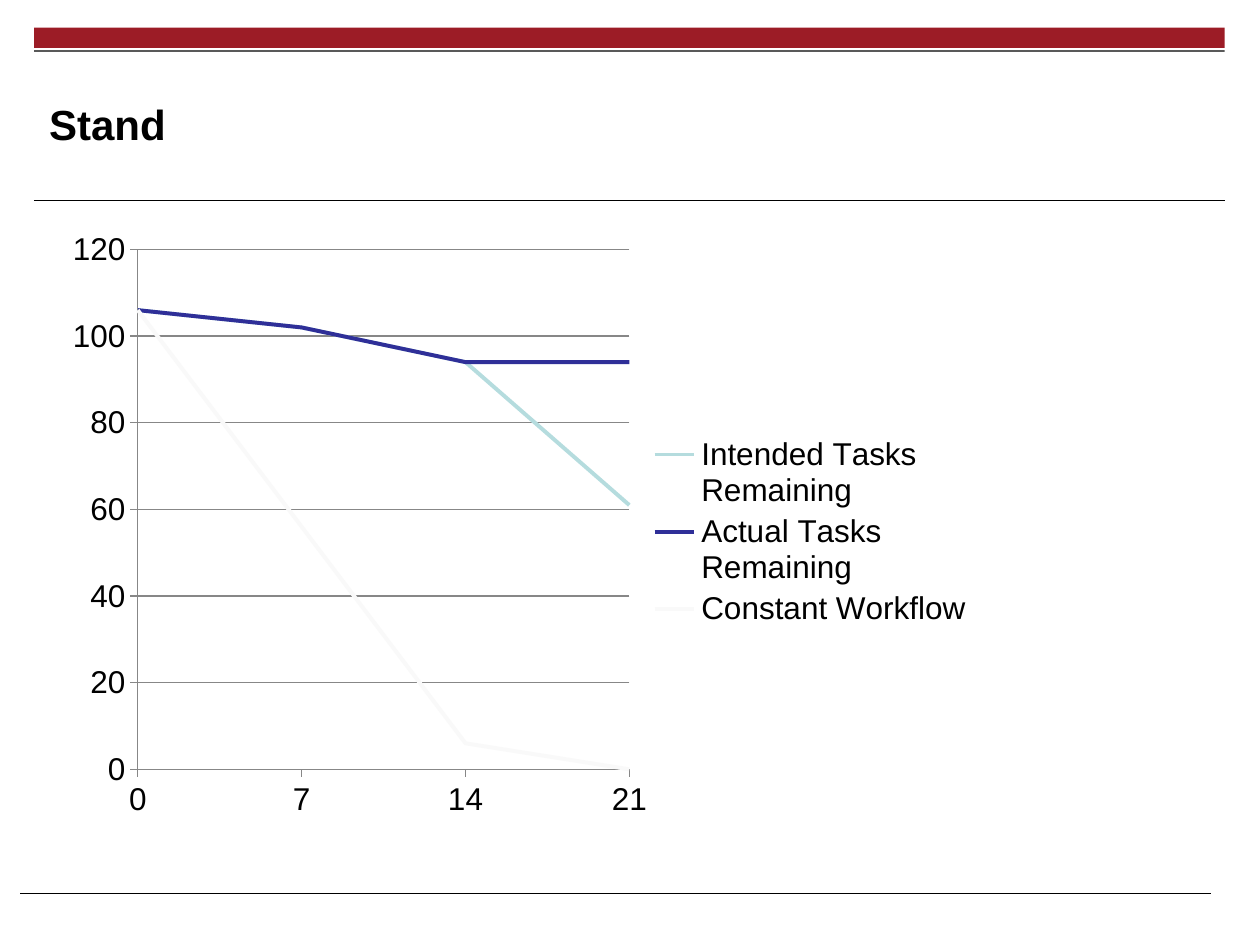
from lxml import etree
from pptx import Presentation
from pptx.chart.data import CategoryChartData
from pptx.dml.color import RGBColor
from pptx.enum.chart import XL_CHART_TYPE, XL_LEGEND_POSITION, XL_MARKER_STYLE, XL_TICK_MARK
from pptx.enum.shapes import MSO_CONNECTOR, MSO_SHAPE
from pptx.enum.text import MSO_ANCHOR, PP_ALIGN
from pptx.oxml import parse_xml
from pptx.oxml.ns import nsdecls, qn
from pptx.util import Inches, Pt

LINE_CHART = XL_CHART_TYPE.LINE
LEGEND_RIGHT = XL_LEGEND_POSITION.RIGHT
NO_MARKER = XL_MARKER_STYLE.NONE
TICK_OUTSIDE = XL_TICK_MARK.OUTSIDE
STRAIGHT = MSO_CONNECTOR.STRAIGHT
RECTANGLE = MSO_SHAPE.RECTANGLE
MIDDLE = MSO_ANCHOR.MIDDLE
LEFT = PP_ALIGN.LEFT

FONT = "Arial"
COLORS = {
    "text": "000000",
    "bar": "9C1C26",
    "axis": "878787",
    "paper": "FFFFFF",
    "intended": "B5DCDE",
    "actual": "2F2F98",
    "constant": "F9F9F9",
}
RULE_LEFT, RULE_WIDTH = 0.27, 9.45
DAYS = ["0", "7", "14", "21"]
SERIES = [
    ("Intended Tasks Remaining", [106, 102, 94, 61], "intended"),
    ("Actual Tasks Remaining", [106, 102, 94, 94], "actual"),
    ("Constant Workflow", [106, 56, 6, 0], "constant"),
]
PLOT_AREA = {"x": 0.097, "y": 0.043, "w": 0.523, "h": 0.842}


def color(name):
    return RGBColor.from_string(COLORS[name])


def format_font(font, size, bold=False):
    font.name = FONT
    font.size = Pt(size)
    font.bold = bold
    font.color.rgb = color("text")


def format_line(line, name, width):
    line.color.rgb = color(name)
    line.width = Pt(width)


def add_bar(slide, top, height, fill):
    bar = slide.shapes.add_shape(
        RECTANGLE, Inches(RULE_LEFT), Inches(top), Inches(RULE_WIDTH), Inches(height))
    bar.shadow.inherit = False
    bar.fill.solid()
    bar.fill.fore_color.rgb = color(fill)
    bar.line.fill.background()


def add_rule(slide, left, top):
    rule = slide.shapes.add_connector(
        STRAIGHT, Inches(left), Inches(top), Inches(left + RULE_WIDTH), Inches(top))
    format_line(rule.line, "text", 0.6)
    etree.SubElement(rule._element.spPr, qn("a:effectLst"))


def set_title(slide, text, size, bold):
    title = slide.shapes.title
    title.left, title.top = Inches(0.39), Inches(0.53)
    title.width, title.height = Inches(7.26), Inches(0.91)
    frame = title.text_frame
    frame.margin_left = frame.margin_right = frame.margin_top = frame.margin_bottom = 0
    frame.vertical_anchor = MIDDLE
    frame.word_wrap = True
    para = frame.paragraphs[0]
    para.alignment = LEFT
    span = para.add_run()
    span.text = text
    format_font(span.font, size, bold)


def format_axis(axis):
    axis.major_tick_mark = TICK_OUTSIDE
    format_font(axis.tick_labels.font, 18)
    format_line(axis.format.line, "axis", 0.75)


def place_plot(chart):
    """Fix the inner plot area, fill it, and start the lines on the value axis."""
    plot_area = chart._chartSpace.chart.plotArea
    for layout in plot_area.findall(qn("c:layout")):
        plot_area.remove(layout)
    modes = "".join(f'<c:{side}Mode val="edge"/>' for side in "xy")
    sizes = "".join(f'<c:{side} val="{share}"/>' for side, share in PLOT_AREA.items())
    plot_area.insert(0, parse_xml(
        f'<c:layout {nsdecls("c")}><c:manualLayout><c:layoutTarget val="inner"/>'
        f'{modes}{sizes}</c:manualLayout></c:layout>'))
    plot_area.append(parse_xml(
        f'<c:spPr {nsdecls("c", "a")}><a:solidFill><a:srgbClr val="{COLORS["paper"]}"/>'
        '</a:solidFill></c:spPr>'))
    crosses = plot_area.find(qn("c:valAx")).find(qn("c:crosses"))
    crosses.addnext(parse_xml(f'<c:crossBetween {nsdecls("c")} val="midCat"/>'))


def add_burndown_chart(slide):
    data = CategoryChartData()
    data.categories = DAYS
    for name, values, _ in SERIES:
        data.add_series(name, values)
    chart = slide.shapes.add_chart(
        LINE_CHART, Inches(0.37), Inches(1.77), Inches(7.46), Inches(4.9), data).chart
    format_font(chart.font, 10)
    chart.has_title = False
    chart.has_legend = True
    chart.legend.position = LEGEND_RIGHT
    chart.legend.include_in_layout = False
    format_font(chart.legend.font, 18)
    for axis in (chart.category_axis, chart.value_axis):
        format_axis(axis)
    chart.value_axis.minimum_scale = 0
    chart.value_axis.maximum_scale = 120
    chart.value_axis.major_unit = 20
    chart.value_axis.has_major_gridlines = True
    format_line(chart.value_axis.major_gridlines.format.line, "axis", 0.75)
    chart.plots[0].vary_by_categories = False
    for series, (_, _, name) in zip(chart.plots[0].series, SERIES):
        series.smooth = False
        series.marker.style = NO_MARKER
        format_line(series.format.line, name, 2.25)
    place_plot(chart)


def main():
    deck = Presentation()
    deck.slide_width, deck.slide_height = Inches(10), Inches(7.5)
    slide = deck.slides.add_slide(deck.slide_layouts[5])
    add_bar(slide, 0.22, 0.16, "bar")
    add_rule(slide, RULE_LEFT, 1.59)
    add_bar(slide, 0.4, 0.01, "text")
    add_rule(slide, 0.16, 7.09)
    set_title(slide, "Stand", size=24, bold=True)
    add_burndown_chart(slide)
    deck.save("out.pptx")


if __name__ == "__main__":
    main()
